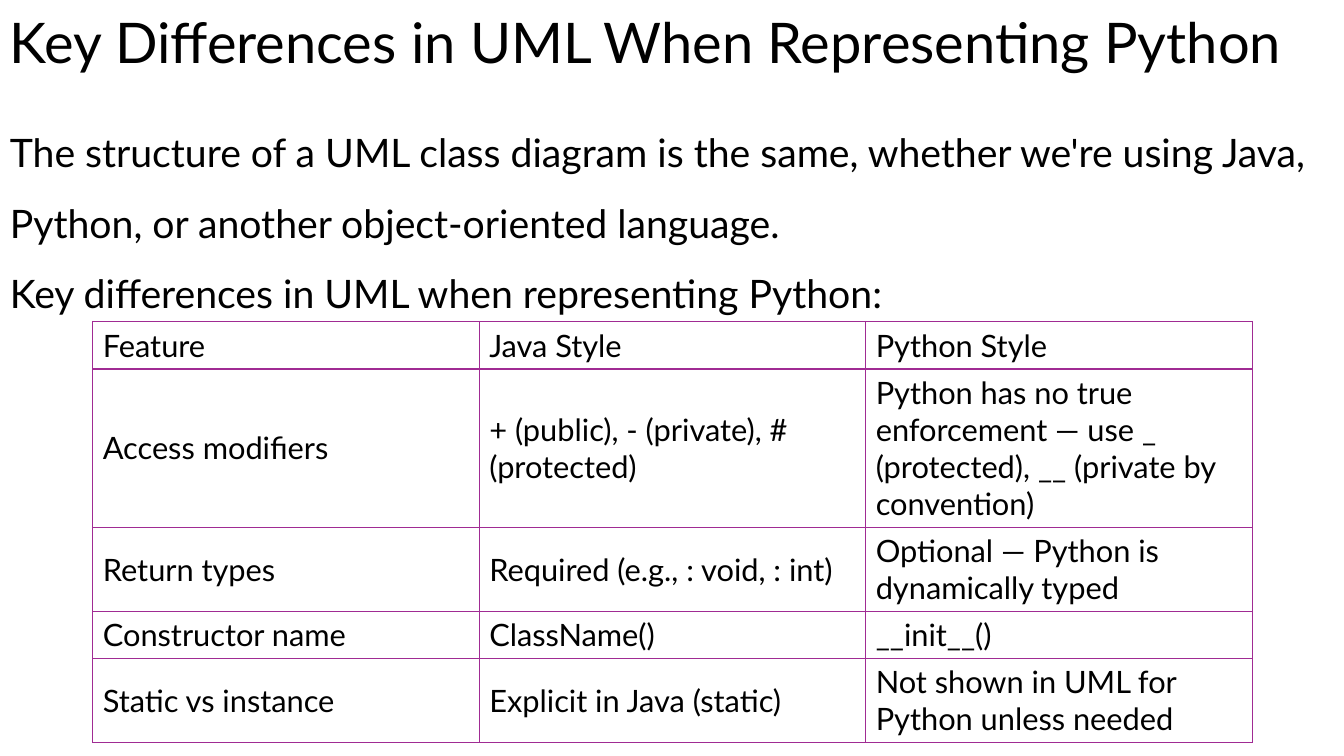
from dataclasses import dataclass
from typing import Any

from lxml import etree
from pptx import Presentation
from pptx import util as u
from pptx.dml.color import RGBColor
from pptx.enum import text
from pptx.oxml import ns


@dataclass(frozen=True)
class Theme:
    font: str = "Lato"
    ink: str = "000000"
    border: str = "A02B93"
    background: str = "FFFFFF"
    title_size: int = 40
    body_size: int = 28
    table_size: int = 22
    border_width: int = 1


def apply_format(target, values):
    for name, value in values.items():
        setattr(target, name, value)


@dataclass
class SlideBuilder:
    theme: Theme
    slide: Any

    def background(self):
        fill = self.slide.background.fill
        fill.solid()
        fill.fore_color.rgb = RGBColor.from_string(self.theme.background)

    def add_paragraphs(self, frame, lines, size, spacing=1.0):
        for index, line in enumerate(lines):
            paragraph = frame.paragraphs[0] if index == 0 else frame.add_paragraph()
            paragraph.text = line
            apply_format(paragraph, {"line_spacing": spacing,
                                     "alignment": text.PP_ALIGN.LEFT})
            apply_format(paragraph.font, {"name": self.theme.font, "size": u.Pt(size),
                                          "bold": False})
            paragraph.font.color.rgb = RGBColor.from_string(self.theme.ink)

    def text_box(self, box, lines, size, spacing, anchor=text.MSO_ANCHOR.TOP):
        shape = self.slide.shapes.add_textbox(*map(u.Inches, box))
        apply_format(shape.text_frame, {"word_wrap": True, "vertical_anchor": anchor})
        self.add_paragraphs(shape.text_frame, lines, size, spacing)

    def cell_borders(self, cell):
        """Draw all four edges; they must precede the fill in the cell properties."""
        properties = cell._tc.get_or_add_tcPr()
        for edge in ("a:lnL", "a:lnR", "a:lnT", "a:lnB"):
            line = etree.SubElement(properties, ns.qn(edge),
                                    w=str(u.Pt(self.theme.border_width)))
            fill = etree.SubElement(line, ns.qn("a:solidFill"))
            etree.SubElement(fill, ns.qn("a:srgbClr"), val=self.theme.border)

    def table(self, box, rows, heights):
        frame = self.slide.shapes.add_table(len(rows), len(rows[0]), *map(u.Inches, box))
        table = frame.table
        apply_format(table, {"first_row": False, "horz_banding": False})
        for row, height, values in zip(table.rows, heights, rows):
            row.height = u.Inches(height)
            for cell, value in zip(row.cells, values):
                self.cell_borders(cell)
                cell.fill.background()
                cell.vertical_anchor = text.MSO_ANCHOR.MIDDLE
                self.add_paragraphs(cell.text_frame, [value], self.theme.table_size)


BODY = [
    "The structure of a UML class diagram is the same, whether we're using Java, "
    "Python, or another object-oriented language.",
    "Key differences in UML when representing Python:",
]
COMPARISON = [
    ("Feature", "Java Style", "Python Style"),
    ("Access modifiers", "+ (public), - (private), # (protected)",
     "Python has no true enforcement — use _ (protected), __ (private by convention)"),
    ("Return types", "Required (e.g., : void, : int)",
     "Optional — Python is dynamically typed"),
    ("Constructor name", "ClassName()", "__init__()"),
    ("Static vs instance", "Explicit in Java (static)",
     "Not shown in UML for Python unless needed"),
]
ROW_HEIGHTS = [0.47, 1.57, 0.83, 0.47, 0.83]


def main():
    presentation = Presentation()
    apply_format(presentation, {"slide_width": u.Inches(13.33),
                                "slide_height": u.Inches(7.5)})
    theme = Theme()
    builder = SlideBuilder(
        theme, presentation.slides.add_slide(presentation.slide_layouts[6]))
    builder.background()
    builder.text_box((0, 0, 13.33, 0.8), ["Key Differences in UML When Representing Python"],
                     theme.title_size, 0.9, text.MSO_ANCHOR.BOTTOM)
    builder.table((0.92, 3.19, 11.5, sum(ROW_HEIGHTS)), COMPARISON, ROW_HEIGHTS)
    builder.text_box((0, 0.99, 13.33, 2.15), BODY, theme.body_size, 1.5)
    presentation.save("out.pptx")


if __name__ == "__main__":
    main()
